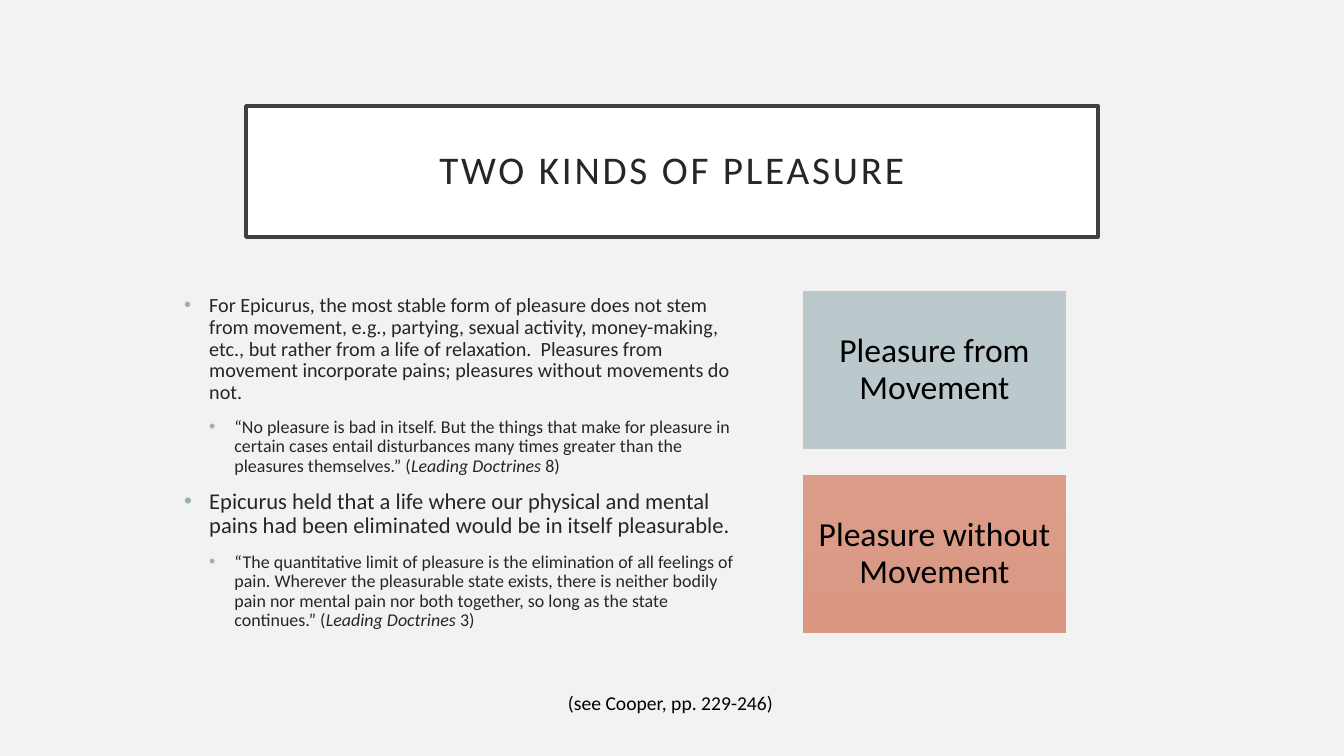
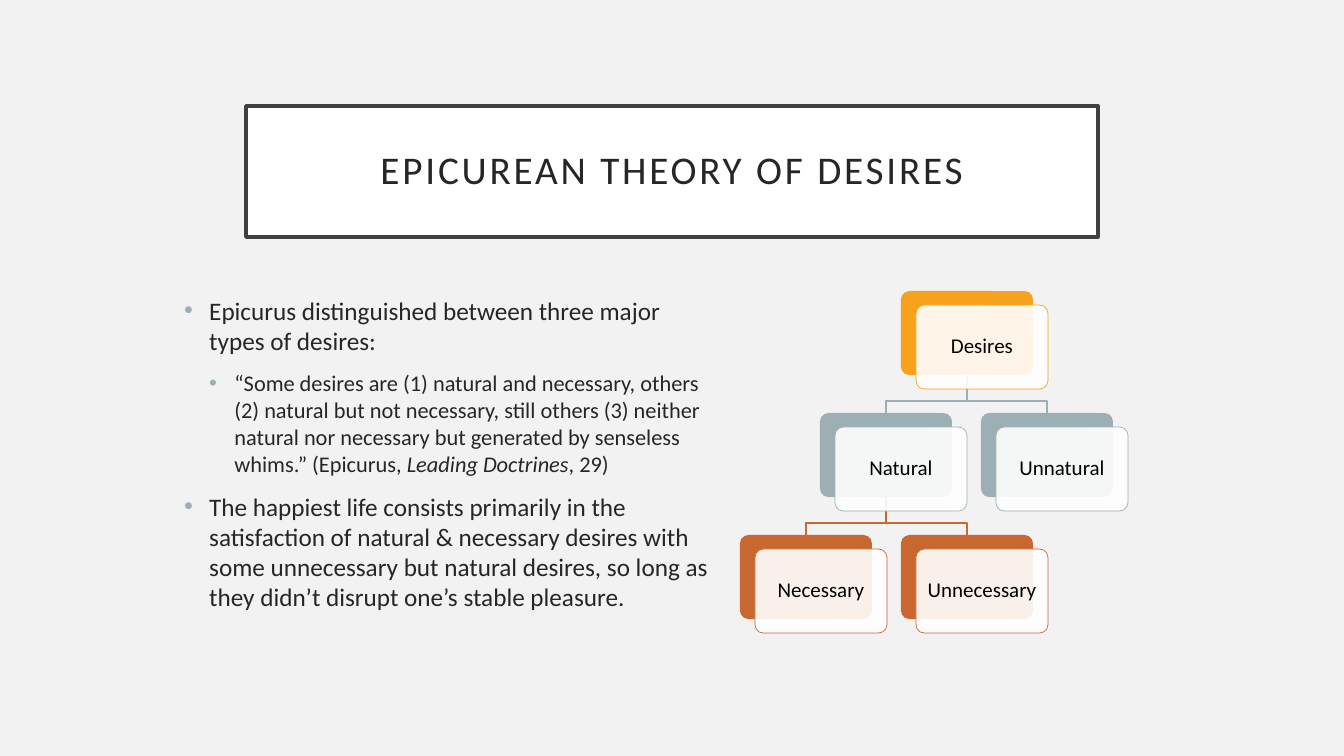
import lxml.etree
import pptx
import pptx.dml.color
import pptx.enum.shapes
import pptx.enum.text
import pptx.oxml.ns
import pptx.util

SHAPES = pptx.enum.shapes.MSO_SHAPE
ALIGN = pptx.enum.text.PP_ALIGN
ANCHOR = pptx.enum.text.MSO_ANCHOR
qn = pptx.oxml.ns.qn

PX_PER_INCH = 100.8


def px(n):
    return pptx.util.Emu(round(n * 914400 / PX_PER_INCH))


def rgb(code):
    return pptx.dml.color.RGBColor.from_string(code)


def add_text(p, text, size, color, italic=False, spacing=None):
    r = p.add_run()
    r.text = text
    r.font.name = Deck.FONT
    r.font.size = pptx.util.Pt(size)
    r.font.color.rgb = rgb(color)
    if italic:
        r.font.italic = True
    if spacing:
        r.font._element.set("spc", str(spacing * 100))


class Deck:
    FONT = "Calibri"
    BACKGROUND, FRAME = "F2F2F2", "404040"
    TEXT, BLACK, WHITE = "262626", "000000", "FFFFFF"
    SLATE, AMBER, RUST = "9BAFB5", "F6A21D", "C96731"

    def __init__(self):
        self.prs = pptx.Presentation()
        self.prs.slide_width, self.prs.slide_height = px(1344), px(756)
        fill = self.prs.slide_master.background.fill
        fill.solid()
        fill.fore_color.rgb = rgb(self.BACKGROUND)
        self.s = None

    def place(self, sp, x, y, w, h):
        sp.left, sp.top, sp.width, sp.height = px(x), px(y), px(w), px(h)

    def frame(self, sp, inset_x, inset_y, anchor=ANCHOR.MIDDLE, wrap=True):
        tf = sp.text_frame
        tf.word_wrap = wrap
        tf.auto_size = pptx.enum.text.MSO_AUTO_SIZE.NONE
        tf.vertical_anchor = anchor
        tf.margin_left = tf.margin_right = px(inset_x)
        tf.margin_top = tf.margin_bottom = px(inset_y)
        return tf

    def centred(self, sp, text, inset, size, color, **fmt):
        p = self.frame(sp, inset, inset).paragraphs[0]
        p.alignment = ALIGN.CENTER
        p.line_spacing = 0.9
        add_text(p, text, size, color, **fmt)

    def slide(self, title):
        self.s = self.prs.slides.add_slide(self.prs.slide_layouts[1])
        sp = self.s.shapes.title
        self.place(sp, 246, 106, 852, 131)
        sp.fill.solid()
        sp.fill.fore_color.rgb = rgb(self.WHITE)
        sp.line.color.rgb = rgb(self.FRAME)
        sp.line.width = pptx.util.Pt(2.5)
        self.centred(sp, title, 20, 28, self.TEXT, spacing=2)

    def bullets(self, width, line_spacing, items):
        """Each item is a level, a size and parts; every second part is italic."""
        sp = self.s.placeholders[1]
        self.place(sp, 174, 290, width, 342)
        tf = self.frame(sp, 10, 5, ANCHOR.TOP)
        for i, (level, size, *parts) in enumerate(items):
            p = tf.add_paragraph() if i else tf.paragraphs[0]
            pPr = p._p.get_or_add_pPr()
            pPr.set("marL", str(pptx.util.Inches(0.25 * (level + 1))))
            pPr.set("indent", str(pptx.util.Inches(-0.25)))
            clr = lxml.etree.SubElement(pPr, qn("a:buClr"))
            lxml.etree.SubElement(clr, qn("a:srgbClr"), val=self.SLATE)
            lxml.etree.SubElement(pPr, qn("a:buChar"), char="•")
            p.level = level
            p.line_spacing = line_spacing
            p.space_before = pptx.util.Pt(10 if i else 0)
            for k, part in enumerate(parts):
                add_text(p, part, size, self.TEXT, italic=k % 2 == 1)

    def shape(self, kind, x, y, w, h):
        sp = self.s.shapes.add_shape(kind, px(x), px(y), px(w), px(h))
        sp.shadow.inherit = False
        sp.line.fill.background()
        return sp

    def gradient_box(self, text, x, y, w, h, top, bottom):
        sp = self.shape(SHAPES.RECTANGLE, x, y, w, h)
        sp.fill.gradient()
        sp.fill.gradient_angle = 270
        for stop, color in zip(sp.fill.gradient_stops, (top, bottom)):
            stop.color.rgb = rgb(color)
        self.centred(sp, text, 10, 24, self.BLACK)

    def note(self, text, x, y, w, h):
        sp = self.s.shapes.add_textbox(px(x), px(y), px(w), px(h))
        tf = self.frame(sp, 10, 5, ANCHOR.TOP, wrap=False)
        add_text(tf.paragraphs[0], text, 14, self.BLACK)

    def rounded(self, x, y, w, h, color):
        sp = self.shape(SHAPES.ROUNDED_RECTANGLE, x, y, w, h)
        sp.adjustments[0] = 0.1
        sp.fill.solid()
        sp.fill.fore_color.rgb = rgb(color)
        return sp

    def card(self, text, x, y, w, h, color):
        """A coloured card with a translucent labelled card in front."""
        self.rounded(x, y, w, h, color)
        sp = self.rounded(x + 15, y + 14, w, h, self.WHITE)
        clr = sp._element.spPr.find(qn("a:solidFill")).find(qn("a:srgbClr"))
        lxml.etree.SubElement(clr, qn("a:alpha"), val="90000")
        sp.line.color.rgb = rgb(color)
        sp.line.width = pptx.util.Pt(0.5)
        self.centred(sp, text, 6, 15, self.BLACK)

    def branch(self, x1, y1, x2, y2, color):
        turn = y2 - 12
        fb = self.s.shapes.build_freeform(px(x1), px(y1))
        fb.add_line_segments(
            [(px(x), px(y)) for x, y in ((x1, turn), (x2, turn), (x2, y2))], close=False)
        sp = fb.convert_to_shape()
        sp.shadow.inherit = False
        sp.fill.background()
        sp.line.color.rgb = rgb(color)
        sp.line.width = pptx.util.Pt(1)

    def tree(self, x, y, nodes):
        """Nodes map a label to its column, row, colour and parent."""
        w, h = 132, 84
        spots = {name: (x + col * 161 // 2, y + row * 122)
                 for name, (col, row, color, parent) in nodes.items()}
        for name, (col, row, color, parent) in nodes.items():
            if parent:
                (px1, py1), (cx, cy) = spots[parent], spots[name]
                self.branch(px1 + w // 2, py1 + h, cx + w // 2, cy, color)
        for name, (col, row, color, parent) in nodes.items():
            self.card(name, *spots[name], w, h, color)


def main():
    d = Deck()

    # Two kinds of pleasure
    d.slide("TWO KINDS OF PLEASURE")
    d.bullets(583, 0.9, [
        (0, 14.4, "For Epicurus, the most stable form of pleasure does not stem from "
         "movement, e.g., partying, sexual activity, money-making, etc., but rather from "
         "a life of relaxation.  Pleasures from movement incorporate pains; pleasures "
         "without movements do not."),
        (1, 12.8, "“No pleasure is bad in itself. But the things that make for pleasure "
         "in certain cases entail disturbances many times greater than the pleasures "
         "themselves.” (", "Leading Doctrines ", "8)"),
        (0, 16.1, "Epicurus held that a life where our physical and mental pains had been "
         "eliminated would be in itself pleasurable."),
        (1, 12.8, "“The quantitative limit of pleasure is the elimination of all feelings "
         "of pain. Wherever the pleasurable state exists, there is neither bodily pain nor "
         "mental pain nor both together, so long as the state continues.” (",
         "Leading Doctrines ", "3)"),
    ])
    kinds = [("Pleasure from Movement", "BBC8CC", "B8C6CB"),
             ("Pleasure without Movement", "DB9C89", "DA9882")]
    for i, (label, top, bottom) in enumerate(kinds):
        d.gradient_box(label, 803, 291 + i * 184, 263, 158, top, bottom)
    d.note("(see Cooper, pp. 229-246)", 558, 686, 227, 34)

    # Theory of desires
    d.slide("EPICUREAN THEORY OF DESIRES")
    d.bullets(548, 1.0, [
        (0, 18, "Epicurus distinguished between three major types of desires:"),
        (1, 16, "“Some desires are (1) natural and necessary, others (2) natural but not "
         "necessary, still others (3) neither natural nor necessary but generated by "
         "senseless whims.” (Epicurus, ", "Leading Doctrines", ", 29)"),
        (0, 18, "The happiest life consists primarily in the satisfaction of natural & "
         "necessary desires with some unnecessary but natural desires, so long as they "
         "didn’t disrupt one’s stable pleasure."),
    ])
    d.tree(740, 291, {
        "Desires": (2, 0, d.AMBER, None),
        "Natural": (1, 1, d.SLATE, "Desires"),
        "Necessary": (0, 2, d.RUST, "Natural"),
        "Unnecessary": (2, 2, d.RUST, "Natural"),
        "Unnatural": (3, 1, d.SLATE, "Desires"),
    })

    d.prs.save("out.pptx")


if __name__ == "__main__":
    main()
